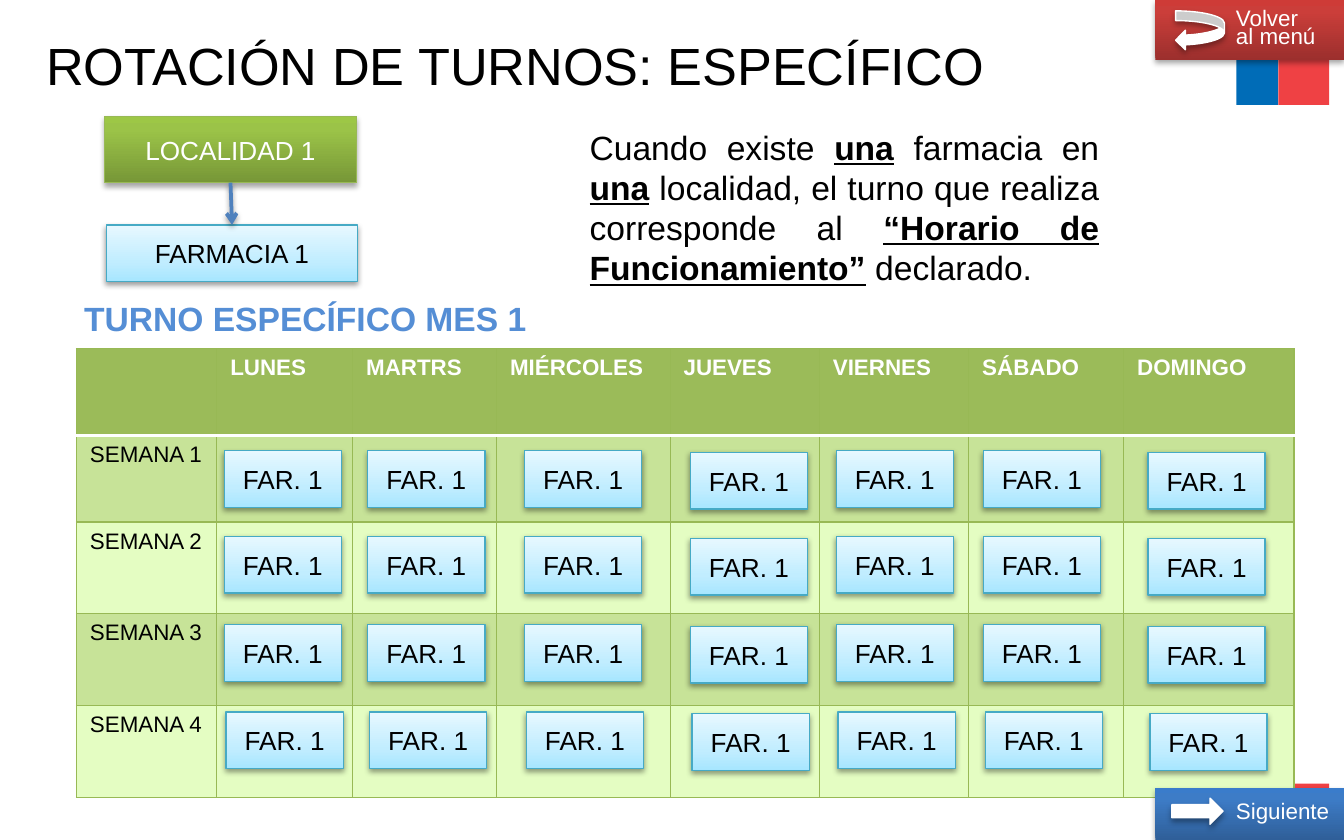
from dataclasses import dataclass

from lxml.etree import SubElement
from pptx import Presentation
from pptx.dml.color import RGBColor
from pptx.enum.shapes import MSO_CONNECTOR, MSO_SHAPE
from pptx.enum.text import MSO_ANCHOR as Anchor, MSO_AUTO_SIZE as AutoSize, PP_ALIGN as Align
from pptx.oxml.ns import qn
from pptx.util import Pt


@dataclass(frozen=True)
class Theme:
    font: str = "Arial"
    black: str = "000000"
    white: str = "FFFFFF"
    flag_blue: str = "006CB7"
    flag_red: str = "EF4144"
    arrow: str = "4F81BD"
    heading: str = "558ED5"
    header: str = "9BBB59"
    bands: tuple = ("C7E398", "E4FDC2")
    green_line: str = "98B955"
    sky_line: str = "46AAC5"
    # Gradient stops run from bottom to top
    green: tuple = ((0, "779737"), (80, "9BC348"), (100, "9DC746"))
    sky: tuple = ((0, "A7E6FF"), (35, "C1EDFF"), (100, "E7F8FF"))
    red: tuple = ((0, "9C2F2D"), (80, "CB3E3A"), (100, "CE3B37"))
    blue: tuple = ((0, "2F5F99"), (80, "3D7CC7"), (100, "3A7CCB"))
    # Shadow opacity in percent and distance in points
    soft: tuple = (38, 1.6)
    deep: tuple = (35, 1.8)
    title_size: int = 28
    body_size: int = 18
    box_size: int = 14
    small_size: int = 12


theme = Theme()


def write(frame, paragraphs, size, color, layout=None, bold=False, indent=0, **formats):
    """Fill a text frame; each paragraph is a list of (text, emphasis) runs."""
    for key, value in (layout or {}).items():
        setattr(frame, key, value)
    for index, runs in enumerate(paragraphs):
        paragraph = frame.add_paragraph() if index else frame.paragraphs[0]
        if indent:
            paragraph._p.get_or_add_pPr().set("marL", str(Pt(indent)))
        for key, value in formats.items():
            setattr(paragraph, key, value)
        for text, emphasis in runs:
            run = paragraph.add_run()
            run.text = text
            font = {"name": theme.font, "size": Pt(size), "bold": bold or emphasis, "underline": emphasis}
            for key, value in font.items():
                setattr(run.font, key, value)
            run.font.color.rgb = RGBColor.from_string(color)


def decorate(shape, fill=None, line=None, width=0.75, shadow=None):
    """Set the fill (a colour or gradient stops), the line and the shadow."""
    properties = shape._element.spPr
    if isinstance(fill, tuple):
        shape.fill.gradient()
        shape.fill.gradient_angle = 90
        stops = properties.find(qn("a:gradFill")).find(qn("a:gsLst"))
        stops.clear()
        for position, color in fill:
            stop = SubElement(stops, qn("a:gs"), pos=str(position * 1000))
            SubElement(stop, qn("a:srgbClr"), val=color)
    elif fill:
        shape.fill.solid()
        shape.fill.fore_color.rgb = RGBColor.from_string(fill)
    if line:
        shape.line.color.rgb = RGBColor.from_string(line)
        shape.line.width = Pt(width)
    else:
        shape.line.fill.background()
    effects = SubElement(properties, qn("a:effectLst"))
    if shadow:
        opacity, distance = shadow
        outer = SubElement(effects, qn("a:outerShdw"), blurRad=str(Pt(3.1)), dist=str(Pt(distance)),
                           dir="5400000", rotWithShape="0")
        color = SubElement(outer, qn("a:srgbClr"), val=theme.black)
        SubElement(color, qn("a:alpha"), val=str(opacity * 1000))


deck = Presentation()
deck.slide_width, deck.slide_height = Pt(720), Pt(450)
slide = deck.slides.add_slide(deck.slide_layouts[6])
shapes = slide.shapes
centred = {"layout": {"vertical_anchor": Anchor.MIDDLE}, "alignment": Align.CENTER}

# Flag stripes at the top and bottom right
for top, height in ((0, 56.2), (419.8, 30.2)):
    for left, width, color in ((662.4, 22.4, theme.flag_blue), (684.8, 27.3, theme.flag_red)):
        stripe = shapes.add_shape(MSO_SHAPE.RECTANGLE, Pt(left), Pt(top), Pt(width), Pt(height))
        decorate(stripe, color)

# Title
title = shapes.add_textbox(Pt(24.7), Pt(10), Pt(564), Pt(53.3))
write(title.text_frame, [[("ROTACIÓN DE TURNOS: ESPECÍFICO", False)]], theme.title_size, theme.black,
      {"word_wrap": True, "vertical_anchor": Anchor.MIDDLE,
       "margin_left": 0, "margin_right": 0, "margin_top": 0, "margin_bottom": 0}, line_spacing=0.9)

# Town and its pharmacy
town = shapes.add_shape(MSO_SHAPE.RECTANGLE, Pt(56), Pt(62.4), Pt(135), Pt(35.5))
decorate(town, theme.green, theme.green_line, shadow=theme.deep)
write(town.text_frame, [[("LOCALIDAD 1", False)]], theme.box_size, theme.white, **centred)

pharmacy = shapes.add_shape(MSO_SHAPE.RECTANGLE, Pt(57), Pt(120.5), Pt(134.6), Pt(30.4))
decorate(pharmacy, theme.sky, theme.sky_line, shadow=theme.soft)
write(pharmacy.text_frame, [[("FARMACIA 1", False)]], theme.box_size, theme.black, **centred)

link = shapes.add_connector(MSO_CONNECTOR.STRAIGHT, 0, 0, 0, 0)
link.begin_connect(town, 2)
link.end_connect(pharmacy, 0)
decorate(link, line=theme.arrow, width=2, shadow=theme.soft)
SubElement(link.line._get_or_add_ln(), qn("a:tailEnd"), type="arrow")

# Month table
days = ["LUNES", "MARTRS", "MIÉRCOLES", "JUEVES", "VIERNES", "SÁBADO", "DOMINGO"]
column_widths = [75.2, 72.8, 77.1, 93, 80, 80, 83, 91.2]
row_heights = [46.4, 46.4, 49.2, 49.2, 49.2]
month = shapes.add_table(len(row_heights), len(column_widths), Pt(41), Pt(186.9),
                         Pt(sum(column_widths)), Pt(sum(row_heights))).table
for column, width in zip(month.columns, column_widths):
    column.width = Pt(width)
for row, height in zip(month.rows, row_heights):
    row.height = Pt(height)

for week in range(len(row_heights)):
    for day in range(len(column_widths)):
        cell = month.cell(week, day)
        edges = {"a:lnL": False, "a:lnR": False, "a:lnT": week == 1, "a:lnB": week == 0}
        for edge, under_header in edges.items():
            border = SubElement(cell._tc.get_or_add_tcPr(), qn(edge), w=str(Pt(2 if under_header else 0.75)))
            paint = SubElement(border, qn("a:solidFill"))
            SubElement(paint, qn("a:srgbClr"), val=theme.white if under_header else theme.green_line)
        cell.fill.solid()
        cell.fill.fore_color.rgb = RGBColor.from_string(theme.bands[(week - 1) % 2] if week else theme.header)
        if week == 0 and day:
            write(cell.text_frame, [[(days[day - 1], False)]], theme.small_size, theme.white, bold=True)
        elif week and day == 0:
            write(cell.text_frame, [[(f"SEMANA {week}", False)]], theme.small_size, theme.black)

# Heading of the table
heading = shapes.add_textbox(Pt(38), Pt(155.8), Pt(254), Pt(29))
write(heading.text_frame, [[("TURNO ESPECÍFICO MES 1", False)]], theme.body_size, theme.heading,
      {"word_wrap": False, "auto_size": AutoSize.SHAPE_TO_FIT_TEXT}, bold=True)

# Explanation
explanation = shapes.add_textbox(Pt(308.8), Pt(64.2), Pt(287.2), Pt(94.4))
write(explanation.text_frame, [[
    ("Cuando existe ", False), ("una", True), (" farmacia en ", False), ("una", True),
    (" localidad, el turno que realiza corresponde al ", False),
    ("“Horario de Funcionamiento”", True), (" declarado.", False),
]], theme.body_size, theme.black,
    {"word_wrap": True, "auto_size": AutoSize.SHAPE_TO_FIT_TEXT}, alignment=Align.JUSTIFY)

# Pharmacy on duty, one box a day; Thursday and Sunday sit lower, the last week further right
duty_lefts = [120.1, 197, 281, 369.8, 448, 526.8, 615]
duty_tops = [241.4, 287.4, 334.6, 381.4]
nudge = 1
for week, top in enumerate(duty_tops):
    for day, left in enumerate(duty_lefts):
        duty = shapes.add_shape(MSO_SHAPE.RECTANGLE, Pt(left + nudge * (week == 3)),
                                Pt(top + nudge * (day in (3, 6))), Pt(62.8), Pt(30.4))
        decorate(duty, theme.sky, theme.sky_line, shadow=theme.soft)
        write(duty.text_frame, [[("FAR. 1", False)]], theme.box_size, theme.black, **centred)

# Navigation buttons with their arrows
buttons = [
    (0, 32, theme.red, ["Volver", "al menú"], MSO_SHAPE.CURVED_LEFT_ARROW, (629.8, 5.8, 26.2, 21)),
    (422, 28, theme.blue, ["Siguiente"], MSO_SHAPE.RIGHT_ARROW, (627.8, 427.6, 27.4, 14)),
]
for top, height, gradient, lines, arrow_kind, arrow_place in buttons:
    button = shapes.add_shape(MSO_SHAPE.RECTANGLE, Pt(619), Pt(top), Pt(101), Pt(height))
    decorate(button, gradient, shadow=theme.deep)
    write(button.text_frame, [[(line, False)] for line in lines], theme.small_size, theme.white,
          {"vertical_anchor": Anchor.MIDDLE}, indent=36, alignment=Align.LEFT, line_spacing=0.7)
    arrow = shapes.add_shape(arrow_kind, *map(Pt, arrow_place))
    decorate(arrow, theme.white, theme.white, shadow=theme.deep)

deck.save("out.pptx")
